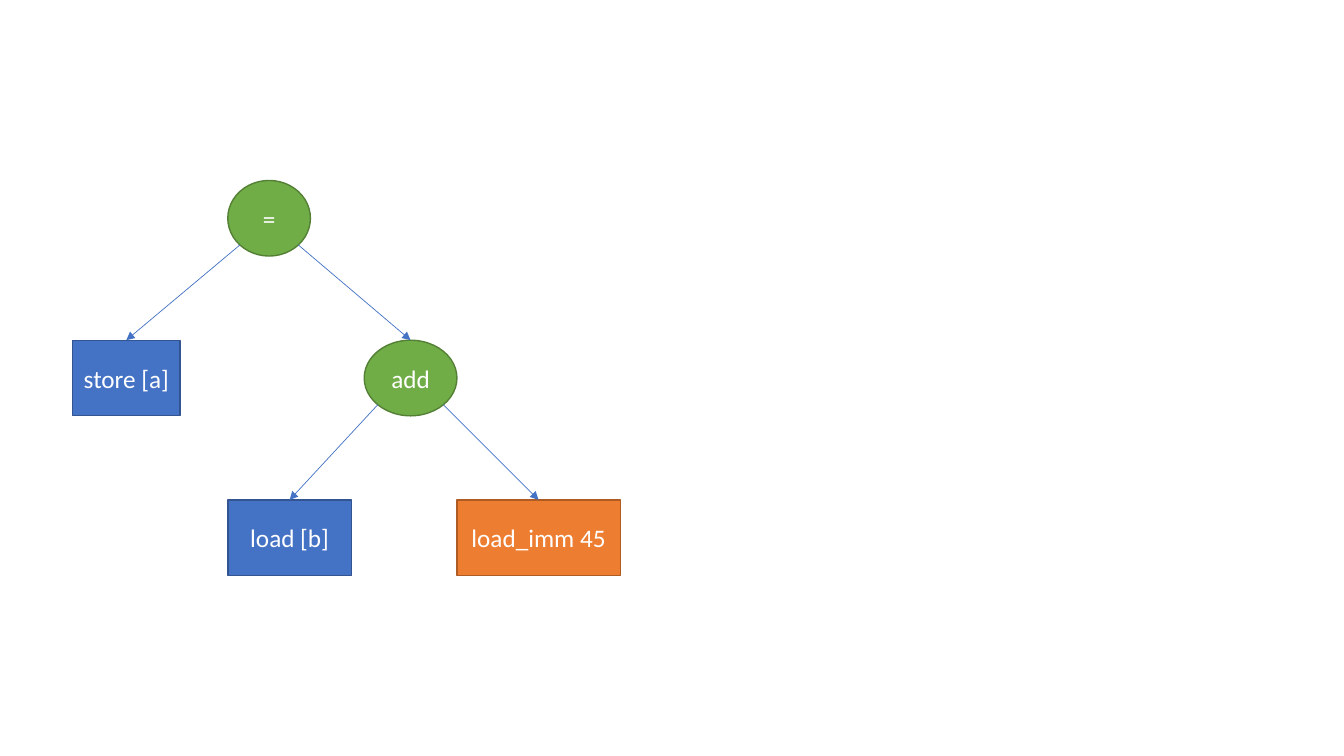
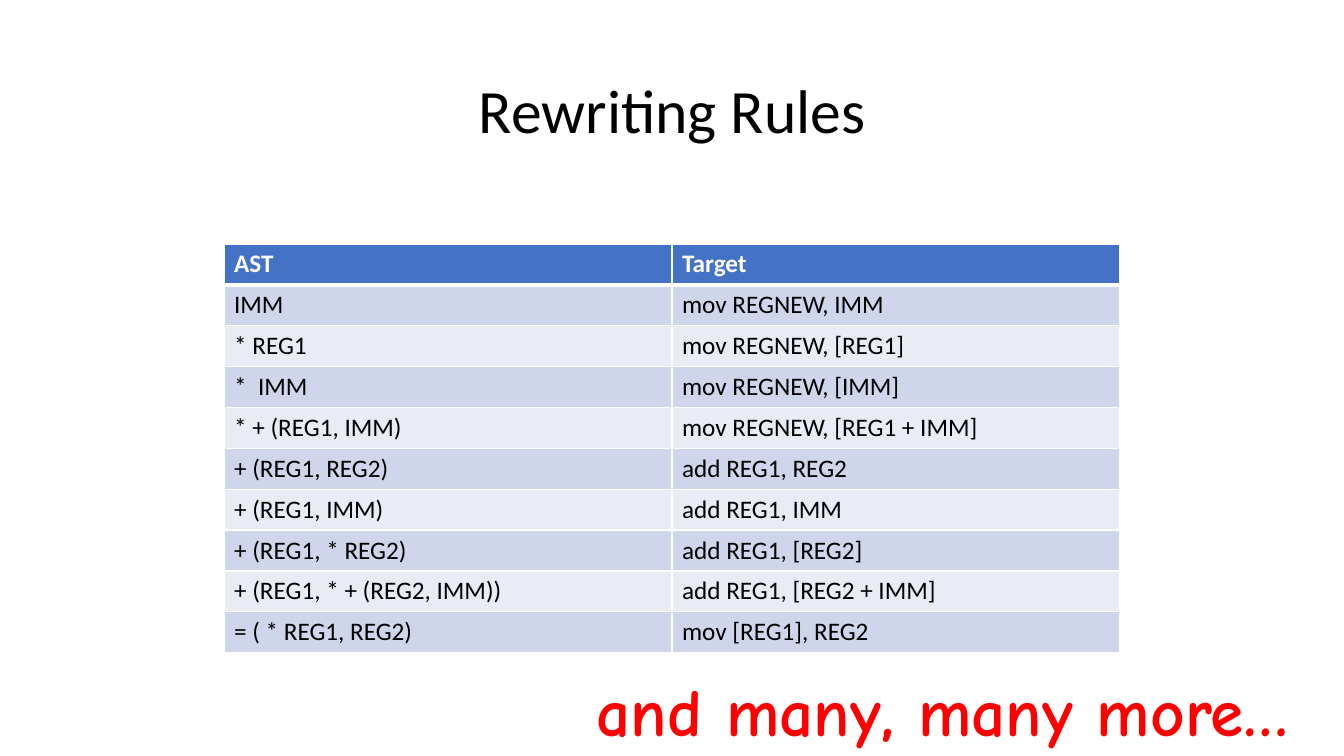
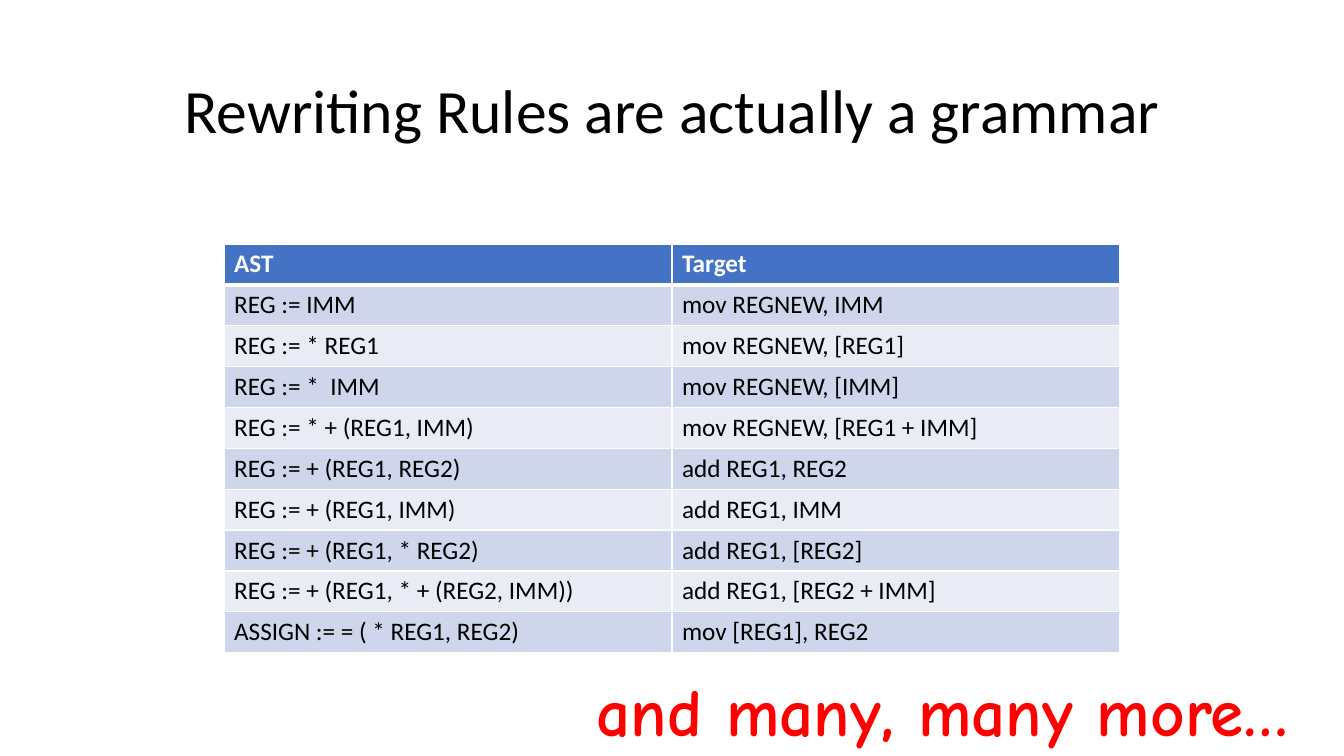
from lxml import etree
from pptx import Presentation
from pptx.dml.color import RGBColor
from pptx.enum.shapes import MSO_CONNECTOR, MSO_SHAPE
from pptx.enum.text import MSO_ANCHOR, MSO_AUTO_SIZE, PP_ALIGN
from pptx.oxml.ns import qn
from pptx.util import Inches, Pt

RECTANGLE, ELLIPSE = MSO_SHAPE.RECTANGLE, MSO_SHAPE.OVAL
STRAIGHT = MSO_CONNECTOR.STRAIGHT
CENTER, MIDDLE = PP_ALIGN.CENTER, MSO_ANCHOR.MIDDLE
GROW = MSO_AUTO_SIZE.SHAPE_TO_FIT_TEXT
TITLE_ONLY, BLANK = 5, 6
TOP_SITE = 0

GRID = 100
FONT, NOTE_FONT = "Calibri", "Comic Neue"
WHITE, BLACK, RED = "FFFFFF", "000000", "FF0000"
BLUE, GREEN, ORANGE = "4472C4", "70AD47", "ED7D31"
OUTLINES = {BLUE: "325491", GREEN: "538035", ORANGE: "AF5C24"}
BANDS = ("E9EBF5", "CFD5EA")

TREE_TOP, LEVEL_STEP, NODE_HEIGHT = 23.87, 21.13, 10
NODES = [
    ("store [a]", RECTANGLE, BLUE, 5.4, 1, 8),
    ("load [b]", RECTANGLE, BLUE, 16.95, 2, 9.2),
    ("load_imm 45", RECTANGLE, ORANGE, 34, 2, 12.15),
    ("add", ELLIPSE, GREEN, 27.1, 1, 6.9),
    ("=", ELLIPSE, GREEN, 16.95, 0, 6.15),
]
EDGES = [
    ("=", "store [a]", -1),
    ("=", "add", 1),
    ("add", "load [b]", -1),
    ("add", "load_imm 45", 1),
]

HEADER = ("AST", "Target")
RULES = [
    ("REG", "IMM", "mov REGNEW, IMM"),
    ("REG", "* REG1", "mov REGNEW, [REG1]"),
    ("REG", "*  IMM", "mov REGNEW, [IMM]"),
    ("REG", "* + (REG1, IMM)", "mov REGNEW, [REG1 + IMM]"),
    ("REG", "+ (REG1, REG2)", "add REG1, REG2"),
    ("REG", "+ (REG1, IMM)", "add REG1, IMM"),
    ("REG", "+ (REG1, * REG2)", "add REG1, [REG2]"),
    ("REG", "+ (REG1, * + (REG2, IMM))", "add REG1, [REG2 + IMM]"),
    ("ASSIGN", "= ( * REG1, REG2)", "mov [REG1], REG2"),
]


def color(hex_string):
    """Turn a hex string into a colour."""
    return RGBColor.from_string(hex_string)


class Deck:
    """Hold the shared style and the slide being drawn."""

    def __init__(self):
        """Start a widescreen presentation."""
        self.presentation = Presentation()
        self.presentation.slide_width = Inches(13.33)
        self.presentation.slide_height = Inches(7.5)
        self.slide = None

    def add_slide(self, layout):
        """Begin a slide from a template layout."""
        layouts = self.presentation.slide_layouts
        self.slide = self.presentation.slides.add_slide(layouts[layout])

    def box(self, left, top, width, height):
        """Convert grid columns and rows to slide lengths."""
        column = self.presentation.slide_width / GRID
        row = self.presentation.slide_height / GRID
        return [round(length) for length in
                (left * column, top * row, width * column, height * row)]

    def set_text(self, text_frame, text, size, text_color,
                 font=FONT, bold=False, align=None):
        """Set one paragraph of text and format it."""
        text_frame.text = text
        paragraph = text_frame.paragraphs[0]
        paragraph.alignment = align
        for run in paragraph.runs:
            run.font.name = font
            run.font.size = Pt(size)
            run.font.bold = bold
            run.font.color.rgb = color(text_color)
        return paragraph

    def title(self, text):
        """Fill the title placeholder."""
        shape = self.slide.shapes.title
        shape.left, shape.top, shape.width, shape.height = self.box(
            6.9, 5.33, 86.25, 19.33)
        shape.text_frame.vertical_anchor = MIDDLE
        paragraph = self.set_text(
            shape.text_frame, text, 44, BLACK, align=CENTER)
        paragraph.line_spacing = 0.9

    def node(self, text, preset, fill, left, level, width):
        """Draw a tree node on its level."""
        top = TREE_TOP + level * LEVEL_STEP
        shape = self.slide.shapes.add_shape(
            preset, *self.box(left, top, width, NODE_HEIGHT))
        shape.shadow.inherit = False
        shape.fill.solid()
        shape.fill.fore_color.rgb = color(fill)
        shape.line.color.rgb = color(OUTLINES[fill])
        shape.line.width = Pt(1)
        shape.text_frame.vertical_anchor = MIDDLE
        self.set_text(shape.text_frame, text, 18, WHITE, align=CENTER)
        return shape

    def edge(self, parent, child, side):
        """Draw an arrow from an ellipse's lower diagonal to a child's top."""
        diagonal = 0.5 ** 0.5
        left = round(parent.left + parent.width / 2 * (1 + side * diagonal))
        top = round(parent.top + parent.height / 2 * (1 + diagonal))
        connector = self.slide.shapes.add_connector(
            STRAIGHT, left, top, left, top)
        connector.end_connect(child, TOP_SITE)
        connector.line.color.rgb = color(BLUE)
        connector.line.width = Pt(0.5)
        properties = connector._element.spPr
        line = properties.find(qn("a:ln"))
        etree.SubElement(line, qn("a:tailEnd"), type="triangle")
        etree.SubElement(properties, qn("a:effectLst"))

    def borders(self, cell, row):
        """Give a cell white borders, thicker below the header."""
        properties = cell._tc.get_or_add_tcPr()
        widths = {"L": 1, "R": 1, "T": 3 if row == 1 else 1,
                  "B": 3 if row == 0 else 1}
        for side, width in widths.items():
            line = etree.SubElement(
                properties, qn(f"a:ln{side}"), w=str(int(Pt(width))))
            fill = etree.SubElement(line, qn("a:solidFill"))
            etree.SubElement(fill, qn("a:srgbClr"), val=WHITE)

    def table(self, rows):
        """Draw a banded table with a header row."""
        frame = self.slide.shapes.add_table(
            len(rows), len(HEADER), *self.box(16.67, 32.27, 66.67, 54.1))
        for row, texts in enumerate(rows):
            is_header = row == 0
            for column, text in enumerate(texts):
                cell = frame.table.cell(row, column)
                self.borders(cell, row)
                cell.fill.solid()
                cell.fill.fore_color.rgb = color(
                    BLUE if is_header else BANDS[row % 2])
                self.set_text(cell.text_frame, text, 18,
                              WHITE if is_header else BLACK, bold=is_header)

    def note(self, text):
        """Add the red remark at the foot of the slide."""
        text_box = self.slide.shapes.add_textbox(
            *self.box(43.66, 87.87, 55.66, 12.13))
        text_box.text_frame.word_wrap = False
        text_box.text_frame.auto_size = GROW
        self.set_text(text_box.text_frame, text, 48, RED, NOTE_FONT, bold=True)

    def tree_slide(self):
        """Build the expression tree."""
        self.add_slide(BLANK)
        nodes = {node[0]: self.node(*node) for node in NODES}
        for parent, child, side in EDGES:
            self.edge(nodes[parent], nodes[child], side)

    def rules_slide(self, title, rules):
        """Build a slide with a title, a rule table and the remark."""
        self.add_slide(TITLE_ONLY)
        self.title(title)
        self.table([HEADER, *rules])
        self.note("and many, many more…")


def main():
    """Build and save the presentation."""
    deck = Deck()
    deck.tree_slide()
    deck.rules_slide("Rewriting Rules",
                     [(pattern, target) for _, pattern, target in RULES])
    deck.rules_slide("Rewriting Rules are actually a grammar",
                     [(f"{symbol} := {pattern}", target)
                      for symbol, pattern, target in RULES])
    deck.presentation.save("out.pptx")


if __name__ == "__main__":
    main()
